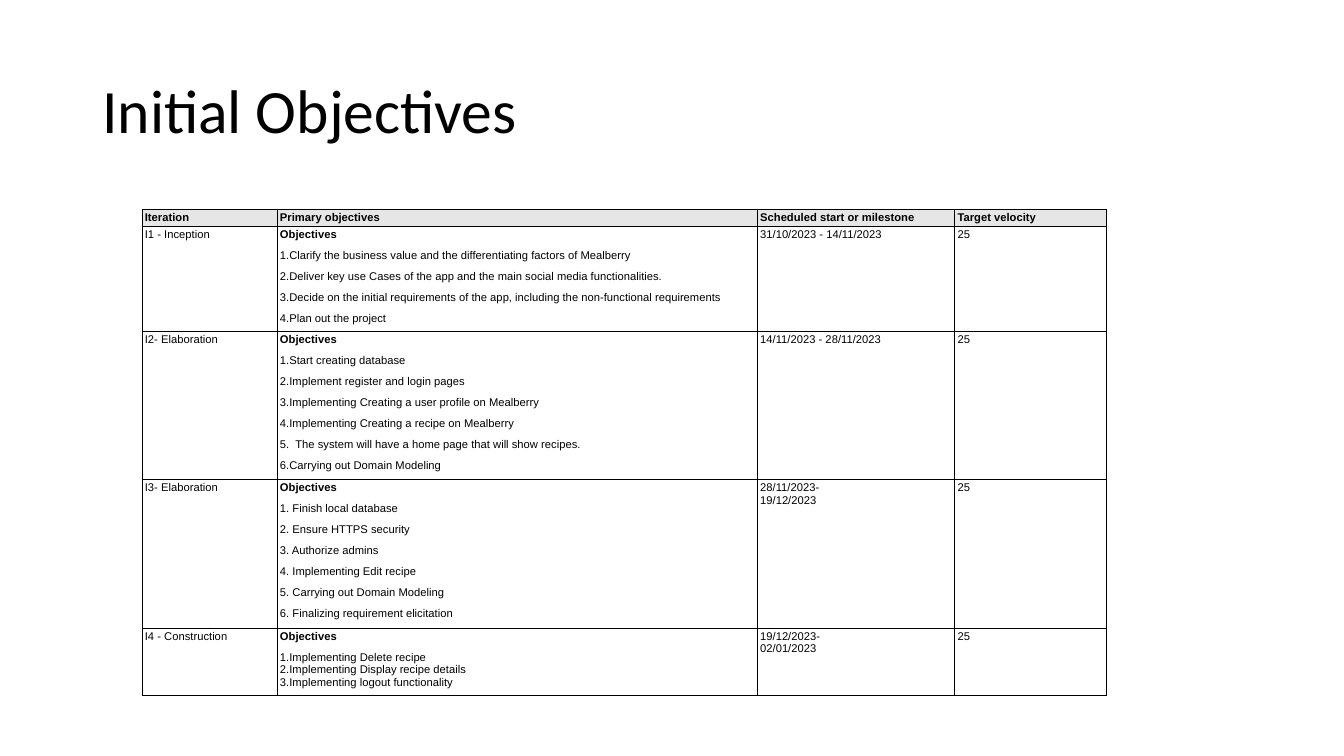
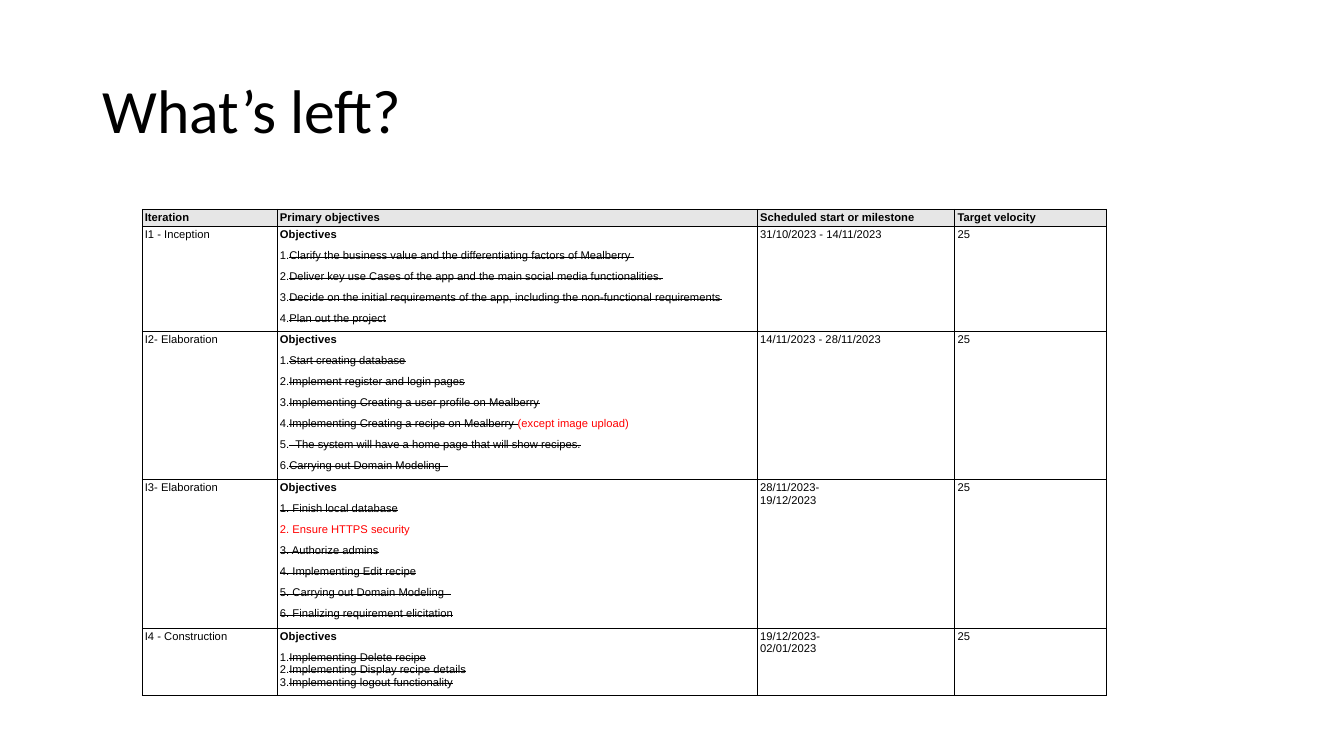
from pptx import Presentation
from pptx.dml.color import RGBColor
from pptx.enum.text import MSO_ANCHOR as Anchor
from pptx.oxml import parse_xml
from pptx.oxml.ns import nsdecls
from pptx.util import Pt

BLACK, RED, GREY = "000000", "FF0000", "E6E6E6"
HEAD = ["Iteration", "Primary objectives", "Scheduled start or milestone", "Target velocity"]
PLAN = [
    dict(name="I1 - Inception", auto=True, gap=6, dates=["31/10/2023 - 14/11/2023"], goals=[
        "Clarify the business value and the differentiating factors of Mealberry ",
        "Deliver key use Cases of the app and the main social media functionalities.",
        "Decide on the initial requirements of the app, including the non-functional requirements",
        "Plan out the project"]),
    dict(name="I2- Elaboration", auto=True, gap=6, dates=["14/11/2023 - 28/11/2023"], goals=[
        "Start creating database",
        "Implement register and login pages",
        "Implementing Creating a user profile on Mealberry",
        "Implementing Creating a recipe on Mealberry",
        "  The system will have a home page that will show recipes.",
        "Carrying out Domain Modeling  "]),
    dict(name="I3- Elaboration", auto=False, gap=6, dates=["28/11/2023-", "19/12/2023"], goals=[
        "1. Finish local database",
        "2. Ensure HTTPS security",
        "3. Authorize admins",
        "4. Implementing Edit recipe",
        "5. Carrying out Domain Modeling  ",
        "6. Finalizing requirement elicitation"]),
    dict(name="I4 - Construction", auto=True, gap=0, dates=["19/12/2023-", "02/01/2023"], goals=[
        "Implementing Delete recipe",
        "Implementing Display recipe details",
        "Implementing logout functionality"]),
]
SPEED = "25"
OPEN = {"2. Ensure HTTPS security"}
NOTES = {"Implementing Creating a recipe on Mealberry": "(except image upload)"}
SLIDES = [("Initial Objectives", False), ("What’s left?", True)]

WIDTHS = [96.5, 343, 141, 108.5]
HEIGHTS = [12, 72, 102, 102, 48]
LEFT, TOP = 101.5, 149.5
INSETS = dict(margin_left=Pt(2), margin_right=Pt(2), margin_top=Pt(1.4), margin_bottom=Pt(1.4))
LEAD = dict(space_before=Pt(3), space_after=Pt(6))
TIGHT = dict(space_before=Pt(0), space_after=Pt(0))
SMALL = dict(name="Arial", size=Pt(8), bold=False)
BOLD = dict(SMALL, bold=True)
LARGE = dict(name="Calibri", size=Pt(44), bold=False)


def color(code):
    return RGBColor.from_string(code)


def apply(part, style):
    for key, val in style.items():
        setattr(part, key, val)


def write(para, text, font=SMALL, ink=BLACK, done=False):
    run = para.add_run()
    run.text = text
    apply(run.font, font)
    run.font.color.rgb = color(ink)
    if done:
        run._r.get_or_add_rPr().set("strike", "sngStrike")


def lines(cell, texts, style=TIGHT, font=SMALL):
    frame = cell.text_frame
    for i, text in enumerate(texts):
        para = frame.add_paragraph() if i else frame.paragraphs[0]
        apply(para, style)
        write(para, text, font)


def goals(cell, row, review):
    lines(cell, ["Objectives"], LEAD, BOLD)
    for goal in row["goals"]:
        para = cell.text_frame.add_paragraph()
        apply(para, dict(TIGHT, space_after=Pt(row["gap"])))
        if row["auto"]:
            props = para._p.get_or_add_pPr()
            props.append(parse_xml(f'<a:buAutoNum {nsdecls("a")} type="arabicPeriod"/>'))
        note = NOTES.get(goal) if review else None
        left = review and goal in OPEN
        write(para, goal + " " if note else goal,
              ink=RED if left else BLACK, done=review and not left)
        if note:
            write(para, note, ink=RED)


def frame(cell, fill=None):
    apply(cell, INSETS)
    props = cell._tc.get_or_add_tcPr()
    for side in "LRTB":
        props.append(parse_xml(
            f'<a:ln{side} {nsdecls("a")} w="{Pt(0.5)}"><a:solidFill>'
            f'<a:srgbClr val="{BLACK}"/></a:solidFill></a:ln{side}>'))
    if fill:
        cell.fill.solid()
        cell.fill.fore_color.rgb = color(fill)
    else:
        cell.fill.background()


def title(slide, text):
    box = slide.shapes.add_textbox(Pt(66), Pt(29), Pt(828), Pt(104)).text_frame
    apply(box, dict(word_wrap=True, vertical_anchor=Anchor.MIDDLE))
    para = box.paragraphs[0]
    para.line_spacing = 0.9
    write(para, text, LARGE)


def table(slide, review):
    grid = slide.shapes.add_table(
        len(HEIGHTS), len(WIDTHS), Pt(LEFT), Pt(TOP),
        Pt(sum(WIDTHS)), Pt(sum(HEIGHTS))).table
    apply(grid, dict(first_row=False, horz_banding=False))
    for col, width in zip(grid.columns, WIDTHS):
        col.width = Pt(width)
    for row, height in zip(grid.rows, HEIGHTS):
        row.height = Pt(height)
    for i, text in enumerate(HEAD):
        cell = grid.cell(0, i)
        frame(cell, GREY)
        lines(cell, [text], LEAD, BOLD)
    for i, row in enumerate(PLAN, 1):
        cells = [grid.cell(i, j) for j in range(len(HEAD))]
        for cell in cells:
            frame(cell)
        lines(cells[0], [row["name"]], LEAD)
        goals(cells[1], row, review)
        lines(cells[2], row["dates"])
        lines(cells[3], [SPEED])


def main():
    deck = Presentation()
    apply(deck, dict(slide_width=Pt(960), slide_height=Pt(540)))
    for text, review in SLIDES:
        slide = deck.slides.add_slide(deck.slide_layouts[6])
        title(slide, text)
        table(slide, review)
    deck.save("out.pptx")


if __name__ == "__main__":
    main()
